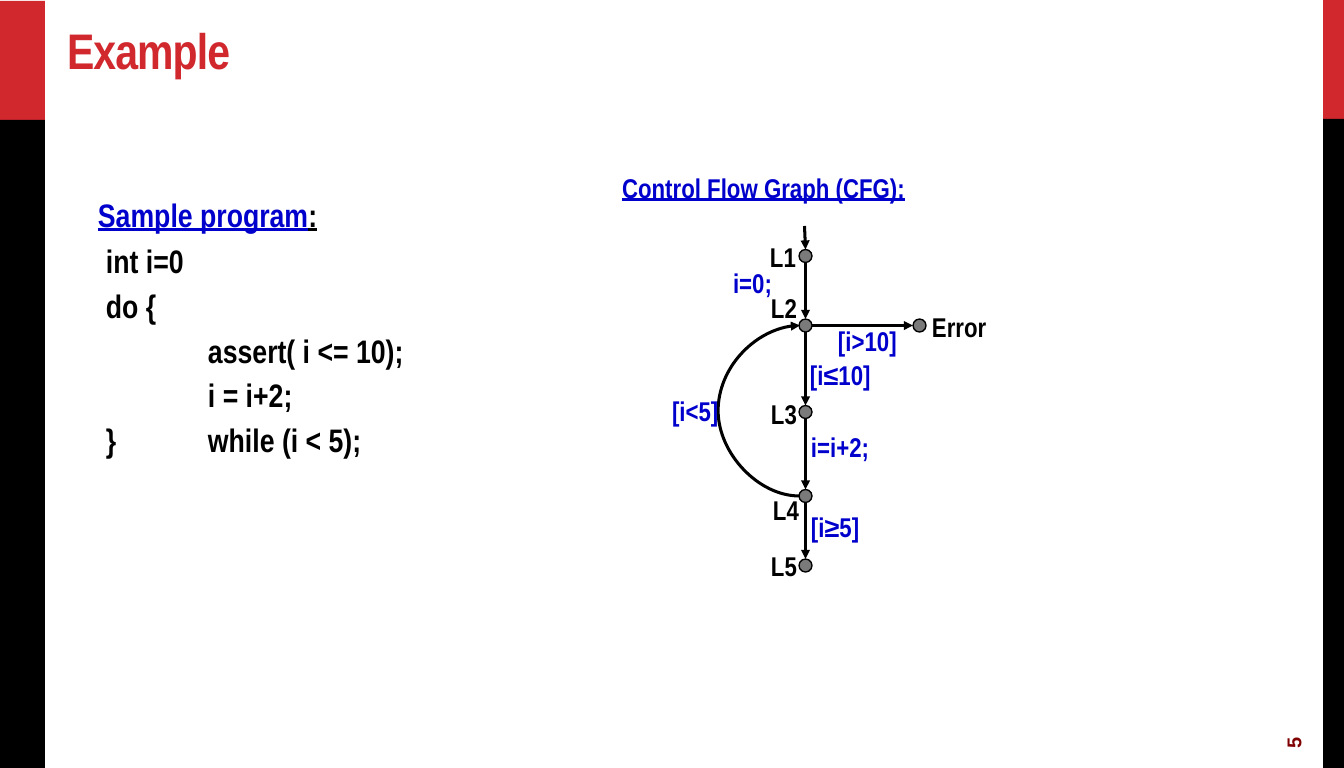
from dataclasses import dataclass

from lxml import etree
from pptx import Presentation
from pptx.dml.color import RGBColor
from pptx.enum.shapes import MSO_CONNECTOR, MSO_SHAPE
from pptx.enum.text import MSO_ANCHOR, MSO_AUTO_SIZE
from pptx.oxml.ns import qn
from pptx.util import Emu, Pt

EMU_PER_PX = 9378


@dataclass(frozen=True)
class Theme:
    red: str = "D1282E"
    black: str = "000000"
    blue: str = "0000CC"
    maroon: str = "800000"
    node: str = "7A7A7A"
    font: str = "Arial Narrow"
    number_font: str = "Arial"
    title_size: float = 36.9
    code_size: float = 24
    label_size: float = 20
    number_size: float = 14.7


THEME = Theme()


def px(value):
    return Emu(round(value * EMU_PER_PX))


def rgb(color):
    return RGBColor.from_string(color)


def add_run(paragraph, text, size, color, font=THEME.font, underline=False):
    run = paragraph.add_run()
    run.text = text
    run.font.name, run.font.size, run.font.bold = font, Pt(size), True
    run.font.underline = underline
    run.font.color.rgb = rgb(color)
    return run


def add_text_box(slide, box, margins=(11, 6), wrap=True):
    shape = slide.shapes.add_textbox(*map(px, box))
    frame = shape.text_frame
    frame.word_wrap = wrap
    frame.margin_left = frame.margin_right = px(margins[0])
    frame.margin_top = frame.margin_bottom = px(margins[1])
    return shape


def add_shape(slide, kind, box, fill, outline=None):
    shape = slide.shapes.add_shape(kind, *map(px, box))
    shape.shadow.inherit = False
    shape.fill.solid()
    shape.fill.fore_color.rgb = rgb(fill)
    if outline:
        shape.line.color.rgb = rgb(outline)
        shape.line.width = Pt(1)
    else:
        shape.line.fill.background()


def add_arrow(slide, start, end, kind=MSO_CONNECTOR.STRAIGHT):
    arrow = slide.shapes.add_connector(kind, *map(px, (*start, *end)))
    arrow.line.color.rgb = rgb(THEME.black)
    arrow.line.width = Pt(2.25)
    line = arrow._element.spPr.find(qn("a:ln"))
    etree.SubElement(line, qn("a:tailEnd"), type="triangle")
    etree.SubElement(arrow._element.spPr, qn("a:effectLst"))
    return arrow


def side_band(slide, box):
    left, top, width, height = box
    red_height = 119
    add_shape(slide, MSO_SHAPE.RECTANGLE, (left, top, width, red_height), THEME.red)
    add_shape(slide, MSO_SHAPE.RECTANGLE,
              (left, top + red_height, width, height - red_height), THEME.black)


def title(slide, box, text):
    frame = add_text_box(slide, box).text_frame
    frame.vertical_anchor = MSO_ANCHOR.BOTTOM
    run = add_run(frame.paragraphs[0], text, THEME.title_size, THEME.red)
    run.font._element.set("spc", "-70")


def slide_number(slide, box, text):
    shape = add_text_box(slide, box)
    shape.rotation = 270
    shape.text_frame.vertical_anchor = MSO_ANCHOR.MIDDLE
    add_run(shape.text_frame.paragraphs[0], text, THEME.number_size,
            THEME.maroon, THEME.number_font)


def sample_program(slide, box):
    code_indent, tab_step = 8, 102
    frame = add_text_box(slide, box).text_frame
    heading = frame.paragraphs[0]
    add_run(heading, "Sample program", THEME.code_size, THEME.blue, underline=True)
    add_run(heading, ":", THEME.code_size, THEME.black, underline=True)

    # Code lines share one indent and one tab step
    for line in ("int i=0", "do {", "\tassert( i <= 10);", "\ti = i+2;",
                 "}\twhile (i < 5);"):
        paragraph = frame.add_paragraph()
        paragraph.line_spacing = 0.75
        add_run(paragraph, line, THEME.code_size, THEME.black)
        properties = paragraph._p.get_or_add_pPr()
        properties.set("marL", str(px(code_indent)))
        properties.set("indent", "0")
        properties.set("defTabSz", str(px(tab_step)))
    for paragraph in frame.paragraphs:
        paragraph.space_before, paragraph.space_after = Pt(4.8), Pt(6.8)
    for paragraph in frame.paragraphs[1:]:
        tabs = etree.SubElement(paragraph._p.pPr, qn("a:tabLst"))
        etree.SubElement(tabs, qn("a:tab"), pos=str(px(tab_step)), algn="l")


def control_flow_graph(slide, box):
    left, top, width, _ = box
    radius = 6.5
    spine, error_x = left + 193.5, left + 307.5
    levels = [top + y for y in (89, 158.5, 245, 329, 398.5)]
    branch_y, loop_y = levels[1], levels[3]

    # Nodes L1 to L5 and the error node
    for x, y in [(spine, y) for y in levels] + [(error_x, branch_y)]:
        add_shape(slide, MSO_SHAPE.OVAL,
                  (x - radius, y - radius, 2 * radius, 2 * radius),
                  THEME.node, THEME.black)

    # Entry, downward steps and error branch
    add_arrow(slide, (spine - 1, top + 59), (spine, levels[0] - radius))
    for upper, lower in zip(levels, levels[1:]):
        add_arrow(slide, (spine, upper + radius), (spine, lower - radius))
    add_arrow(slide, (spine + radius, branch_y), (error_x - radius, branch_y))

    # Loop from L4 back to L2; the bulge is a multiple of the connector width
    loop_width, bulge = 1, 81
    loop_x = spine - radius
    loop = add_arrow(slide, (loop_x, loop_y), (loop_x + loop_width, branch_y),
                     MSO_CONNECTOR.CURVE)
    adjustments = loop._element.spPr.find(qn("a:prstGeom")).get_or_add_avLst()
    etree.SubElement(adjustments, qn("a:gd"), name="adj1",
                     fmla=f"val {-bulge * 100000 // loop_width}")

    # Heading, node names and edge conditions
    names = [("L1", 148, 68, 46), ("L2", 149, 119, 46), ("L3", 149, 225, 46),
             ("L4", 151, 321, 46), ("L5", 149, 377, 46), ("Error", 310, 138, 80)]
    conditions = [("i=0;", 111, 94, 60), ("[i>10]", 216, 152, 82),
                  ("[i≤10]", 188, 186, 84), ("i=i+2;", 189, 258, 81),
                  ("[i<5]", 50, 222, 69), ("[i≥5]", 189, 338, 71)]
    heading = [("Control Flow Graph (CFG):", 0, -1, width)]
    for labels, color, underline in ((names, THEME.black, False),
                                     (conditions, THEME.blue, False),
                                     (heading, THEME.blue, True)):
        for text, x, y, label_width in labels:
            frame = add_text_box(slide, (left + x, top + y, label_width, 43),
                                 (10, 5), wrap=False).text_frame
            frame.auto_size = MSO_AUTO_SIZE.SHAPE_TO_FIT_TEXT
            add_run(frame.paragraphs[0], text, THEME.label_size, color,
                    underline=underline)


def main():
    presentation = Presentation()
    presentation.slide_width, presentation.slide_height = px(1344), px(768)
    slide = presentation.slides.add_slide(presentation.slide_layouts[6])
    side_band(slide, (1323, 0, 21, 768))
    side_band(slide, (0, 1, 45, 767))
    title(slide, (56, 17, 1254, 68), "Example")
    slide_number(slide, (1254, 703, 79, 33), "5")
    sample_program(slide, (87, 189, 393, 308))
    control_flow_graph(slide, (612, 167, 304, 420))
    presentation.save("out.pptx")


main()
